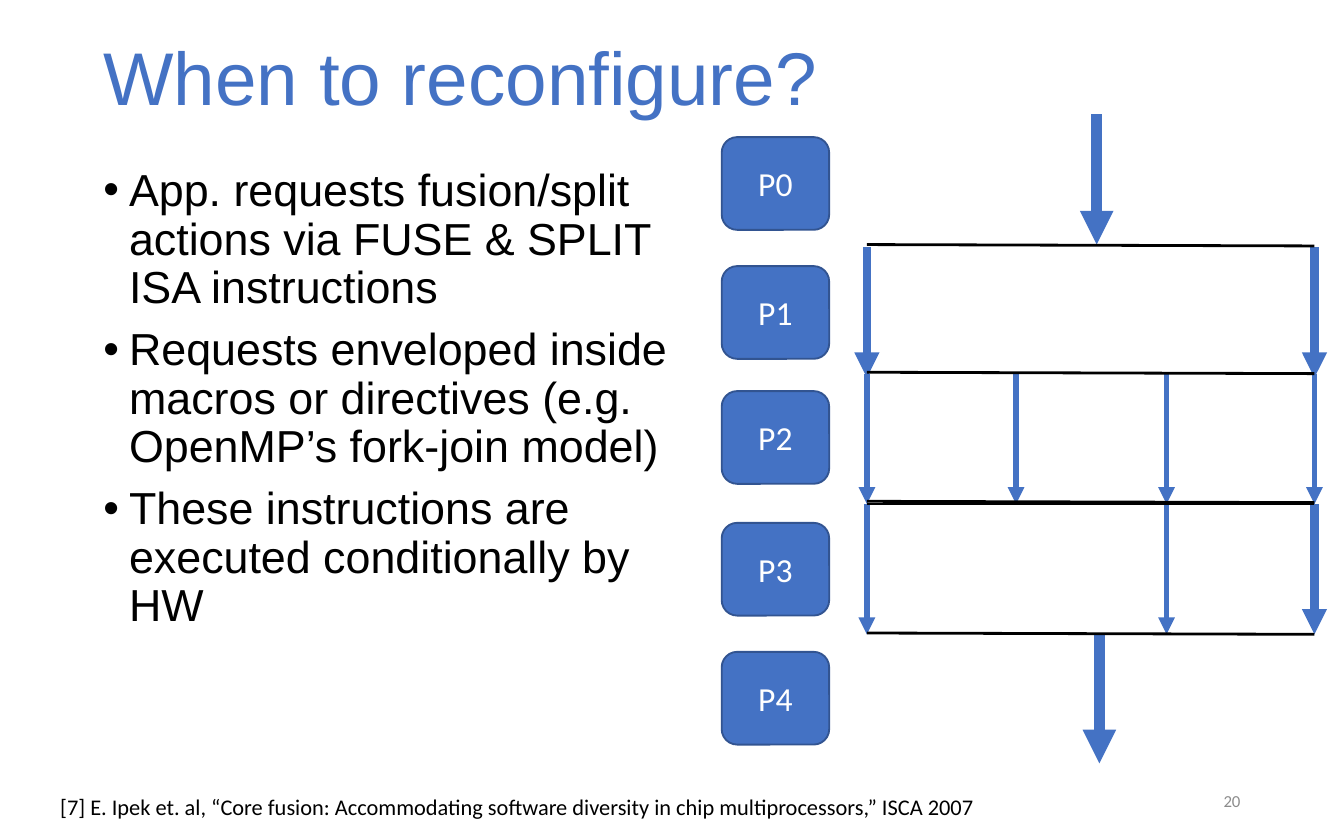
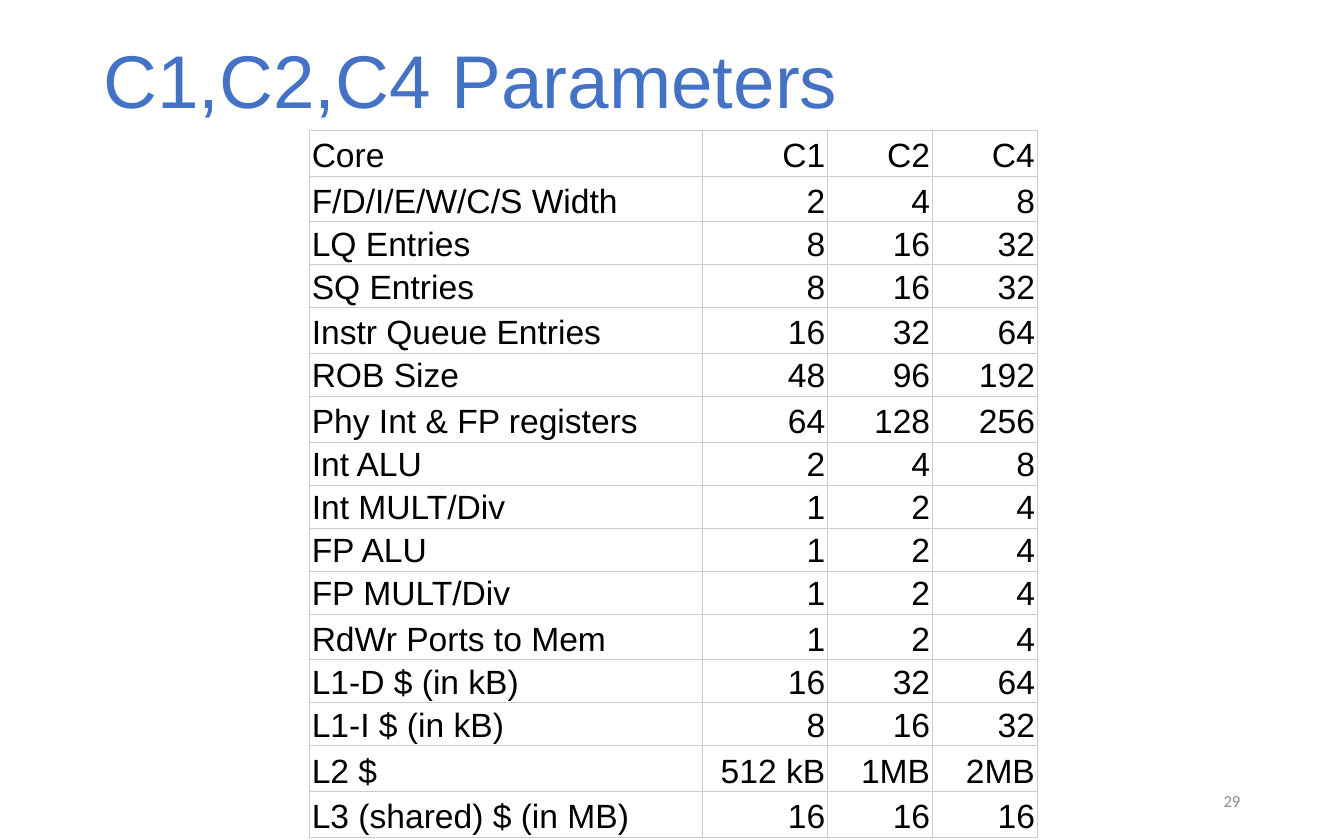
import lxml.etree
import pptx
import pptx.dml.color
import pptx.enum.shapes
import pptx.enum.text
import pptx.oxml.ns
import pptx.util

Inches = pptx.util.Inches
Pt = pptx.util.Pt
Align = pptx.enum.text.PP_ALIGN
Anchor = pptx.enum.text.MSO_ANCHOR

BLUE, DARK_BLUE = "4472C4", "325491"
BLACK, WHITE, GRAY, GRID_GRAY = "000000", "FFFFFF", "8C8C8C", "CCCCCC"

BULLETS = [
    "App. requests fusion/split actions via FUSE & SPLIT ISA instructions",
    "Requests enveloped inside macros or directives (e.g. OpenMP’s fork-join model)",
    "These instructions are executed conditionally by HW",
]
CITATION = (
    "[7] E. Ipek et. al, “Core fusion: Accommodating software diversity "
    "in chip multiprocessors,” ISCA 2007"
)
PHASE_TOPS = {"P0": 1.02, "P1": 1.98, "P2": 2.91, "P3": 3.89, "P4": 4.85}

LANES = [6.45, 7.56, 8.68, 9.78]
ARROW_LENGTH = 0.97
# Top of the phase, then (x, line width) of each arrow in it
PHASE_ARROWS = [
    (0.85, [(8.16, 6)]),
    (1.84, [(LANES[0], 4.5), (LANES[3], 4.5)]),
    (2.78, [(lane, 3) for lane in LANES]),
    (3.75, [(LANES[0], 3), (LANES[2], 3), (LANES[3], 4.5)]),
    (4.71, [(8.18, 6)]),
]
# Heights of each barrier at its left and right end
BARRIERS = [(1.82, 1.83), (2.77, 2.78), (3.73, 3.74), (3.75, 3.75), (4.71, 4.72)]

PARAMETERS = [
    ("Core", "C1", "C2", "C4"),
    ("F/D/I/E/W/C/S Width", "2", "4", "8"),
    ("LQ Entries", "8", "16", "32"),
    ("SQ Entries", "8", "16", "32"),
    ("Instr Queue Entries", "16", "32", "64"),
    ("ROB Size", "48", "96", "192"),
    ("Phy Int & FP registers", "64", "128", "256"),
    ("Int ALU", "2", "4", "8"),
    ("Int MULT/Div", "1", "2", "4"),
    ("FP ALU", "1", "2", "4"),
    ("FP MULT/Div", "1", "2", "4"),
    ("RdWr Ports to Mem", "1", "2", "4"),
    ("L1-D $ (in kB)", "16", "32", "64"),
    ("L1-I $ (in kB)", "8", "16", "32"),
    ("L2 $", "512 kB", "1MB", "2MB"),
    ("L3 (shared) $ (in MB)", "16", "16", "16"),
]
TALL_ROWS = {0, 1, 4, 6, 11, 14, 15}
COLUMN_WIDTHS = [2.93, 0.93, 0.78, 0.78]


def rgb(color):
    return pptx.dml.color.RGBColor.from_string(color)


def place(shape, left, top, width, height):
    shape.left, shape.top = Inches(left), Inches(top)
    shape.width, shape.height = Inches(width), Inches(height)


def set_margins(target, horizontal, vertical):
    target.margin_left = target.margin_right = Inches(horizontal)
    target.margin_top = target.margin_bottom = Inches(vertical)


def format_text(text_frame, size, color, font="Arial", align=Align.LEFT):
    for paragraph in text_frame.paragraphs:
        paragraph.alignment = align
        for run in paragraph.runs:
            run.font.name = font
            run.font.size = Pt(size)
            run.font.color.rgb = rgb(color)


def add_text_box(slide, box, text, size, color, align=Align.LEFT):
    shape = slide.shapes.add_textbox(*map(Inches, box))
    text_frame = shape.text_frame
    text_frame.word_wrap = True
    text_frame.text = text
    format_text(text_frame, size, color, "Calibri", align)
    return text_frame


def add_titled_slide(presentation, layout_index, title, title_top, number):
    slide = presentation.slides.add_slide(presentation.slide_layouts[layout_index])
    title_shape = slide.shapes.title
    place(title_shape, 0.69, title_top, 8.62, 1.21)
    text_frame = title_shape.text_frame
    text_frame.text = title
    text_frame.vertical_anchor = Anchor.MIDDLE
    set_margins(text_frame, 0.08, 0.04)
    text_frame.paragraphs[0].line_spacing = 0.9
    format_text(text_frame, 40, BLUE)

    number_frame = add_text_box(
        slide, (7.06, 5.79, 2.25, 0.33), number, 9, GRAY, Align.RIGHT)
    number_frame.vertical_anchor = Anchor.MIDDLE
    set_margins(number_frame, 0.08, 0.04)
    return slide


def add_bullets(slide):
    body = slide.placeholders[1]
    place(body, 0.69, 1.21, 4.68, 4.14)
    text_frame = body.text_frame
    text_frame.text = "\n".join(BULLETS)
    set_margins(text_frame, 0.08, 0.04)
    format_text(text_frame, 24, BLACK)
    for paragraph in text_frame.paragraphs:
        paragraph.line_spacing = 0.9
        paragraph.space_before = Pt(7.5)
        properties = paragraph._p.get_or_add_pPr()
        properties.set("marL", str(Inches(0.19)))
        properties.set("indent", str(-Inches(0.19)))


def add_line(slide, start, end, color, width, arrow=False):
    line = slide.shapes.add_connector(
        pptx.enum.shapes.MSO_CONNECTOR.STRAIGHT, *map(Inches, start + end))
    line.line.color.rgb = rgb(color)
    line.line.width = Pt(width)
    if arrow:
        lxml.etree.SubElement(
            line.line._get_or_add_ln(), pptx.oxml.ns.qn("a:tailEnd"), type="triangle")
    lxml.etree.SubElement(
        line._element.spPr, pptx.oxml.ns.qn("a:effectLst"))


def add_phase_box(slide, label, top):
    box = slide.shapes.add_shape(
        pptx.enum.shapes.MSO_SHAPE.ROUNDED_RECTANGLE,
        *map(Inches, (5.37, top, 0.8, 0.69)))
    box.shadow.inherit = False
    box.fill.solid()
    box.fill.fore_color.rgb = rgb(BLUE)
    box.line.color.rgb = rgb(DARK_BLUE)
    box.line.width = Pt(1)
    box.text_frame.text = label
    box.text_frame.vertical_anchor = Anchor.MIDDLE
    format_text(box.text_frame, 18, WHITE, "Calibri", Align.CENTER)


def add_cell_borders(cell):
    properties = cell._tc.get_or_add_tcPr()
    for position, side in enumerate(("lnL", "lnR", "lnT", "lnB")):
        border = lxml.etree.Element(
            pptx.oxml.ns.qn(f"a:{side}"), w=str(Pt(0.6)))
        fill = lxml.etree.SubElement(border, pptx.oxml.ns.qn("a:solidFill"))
        lxml.etree.SubElement(fill, pptx.oxml.ns.qn("a:srgbClr"), val=GRID_GRAY)
        properties.insert(position, border)


def add_parameter_table(slide):
    frame = slide.shapes.add_table(
        len(PARAMETERS), len(COLUMN_WIDTHS),
        *map(Inches, (2.3, 0.97, sum(COLUMN_WIDTHS), 5.26)))
    table = frame.table
    table.first_row = table.horz_banding = False
    for column, width in zip(table.columns, COLUMN_WIDTHS):
        column.width = Inches(width)
    for row_index, values in enumerate(PARAMETERS):
        table.rows[row_index].height = Inches(0.34 if row_index in TALL_ROWS else 0.18)
        for column_index, value in enumerate(values):
            cell = table.cell(row_index, column_index)
            cell.text_frame.text = value
            cell.vertical_anchor = Anchor.BOTTOM
            set_margins(cell, 0.02, 0.01)
            cell.fill.background()
            add_cell_borders(cell)
            align = Align.RIGHT if column_index else Align.LEFT
            format_text(cell.text_frame, 18, BLACK, align=align)
    frame.height = Inches(5.26)


def build_reconfigure_slide(presentation):
    slide = add_titled_slide(presentation, 1, "When to reconfigure?", 0, "20")
    add_bullets(slide)
    add_text_box(slide, (0.35, 5.85, 8.73, 0.3), CITATION, 12, BLACK)
    for top, arrows in PHASE_ARROWS:
        for x, width in arrows:
            add_line(slide, (x, top), (x, top + ARROW_LENGTH), BLUE, width, arrow=True)
    for left_y, right_y in BARRIERS:
        add_line(slide, (LANES[0], left_y), (LANES[-1], right_y), BLACK, 1.5)
    for label, top in PHASE_TOPS.items():
        add_phase_box(slide, label, top)


def build_parameters_slide(presentation):
    slide = add_titled_slide(presentation, 5, "C1,C2,C4 Parameters", 0.02, "29")
    add_parameter_table(slide)


def main():
    presentation = pptx.Presentation()
    presentation.slide_width = Inches(10)
    presentation.slide_height = Inches(6.25)
    build_reconfigure_slide(presentation)
    build_parameters_slide(presentation)
    presentation.save("out.pptx")


if __name__ == "__main__":
    main()
